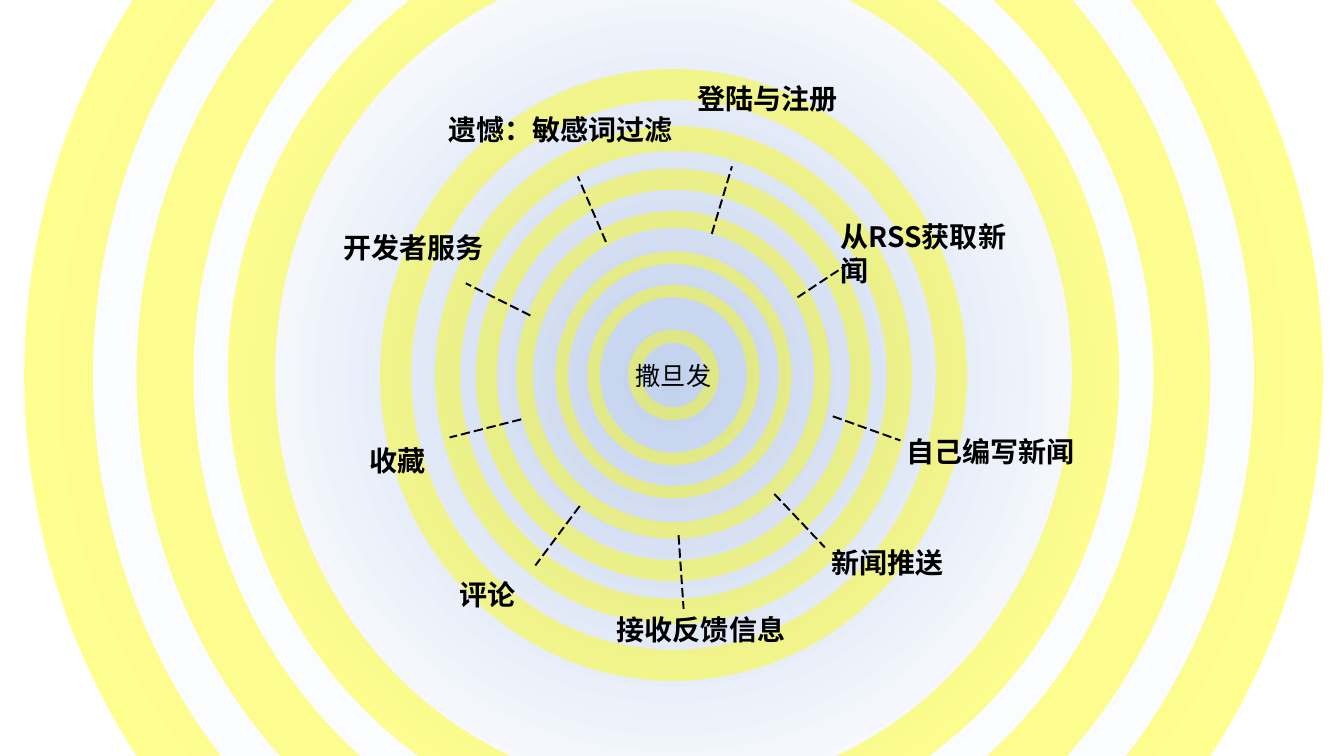
from lxml import etree
from pptx import Presentation
from pptx.dml.color import RGBColor
from pptx.enum.shapes import MSO_CONNECTOR as Connector, MSO_SHAPE as Shape
from pptx.enum.text import MSO_ANCHOR as Anchor, PP_ALIGN as Align
from pptx.oxml import parse_xml
from pptx.oxml.ns import nsdecls, qn
from pptx.util import Inches, Pt

WIDTH, HEIGHT = 13.33, 7.5
CENTER_X, CENTER_Y = 6.68, 3.72
LABEL_FONT = "Noto Sans CJK SC"
BACKDROP_STOPS = [(0, "C2D1ED"), (59, "FBFCFE"), (100, "FFFFFF")]

# Width, height and band thickness of each ring, from the middle outwards
RINGS = [
    (0.9, 0.9, 0.145), (1.71, 1.79, 0.073), (2.34, 2.45, 0.053),
    (3.12, 3.25, 0.053), (3.92, 4.09, 0.053), (4.73, 4.94, 0.053),
    (5.82, 6.07, 0.053), (8.84, 9.22, 0.053), (10.65, 11.11, 0.053),
    (12.88, 13.44, 0.053),
]
TITLE_RING = 5

# Label, its box (left, top, width), spoke start and spoke end
TOPICS = [
    ("登陆与注册", (6.82, 0.76, 1.81), (7.06, 2.32), (7.26, 1.65)),
    ("从RSS获取新闻", (8.24, 2.13, 2.04), (7.91, 2.95), (8.5, 2.56)),
    ("自己编写新闻", (8.89, 4.26, 2.08), (8.26, 4.13), (8.93, 4.37)),
    ("新闻推送", (8.15, 5.36, 1.81), (7.68, 4.9), (8.18, 5.43)),
    ("接收反馈信息", (6.02, 6.03, 1.94), (6.73, 5.31), (6.78, 6.04)),
    ("评论", (4.46, 5.68, 1.81), (5.75, 5.02), (5.31, 5.61)),
    ("收藏", (3.57, 4.35, 1.81), (5.17, 4.16), (4.46, 4.34)),
    ("开发者服务", (3.31, 2.24, 1.81), (5.26, 3.13), (4.62, 2.81)),
    ("遗憾：敏感词过滤", (4.35, 1.07, 2.48), (6.01, 2.4), (5.73, 1.75)),
]


def color(hex_string):
    return RGBColor.from_string(hex_string)


def write_text(shape, text, size=20, font=LABEL_FONT, bold=False,
               align=Align.LEFT, anchor=Anchor.TOP):
    frame = shape.text_frame
    frame.word_wrap = True
    frame.vertical_anchor = anchor
    paragraph = frame.paragraphs[0]
    paragraph.alignment = align
    run = paragraph.add_run()
    run.text = text
    run.font.size = Pt(size)
    run.font.bold = bold
    run.font.name = font
    run.font.color.rgb = color("000000")
    east_asian = etree.SubElement(run.font._element, qn("a:ea"))
    east_asian.set("typeface", font)


def add_plain_shape(slide, kind, left, top, width, height):
    shape = slide.shapes.add_shape(kind, Inches(left), Inches(top), Inches(width), Inches(height))
    shape.shadow.inherit = False
    shape.line.fill.background()
    return shape


def add_backdrop(slide, left, top, width, height):
    backdrop = add_plain_shape(slide, Shape.RECTANGLE, left, top, width, height)
    stops = "".join(
        f'<a:gs pos="{position * 1000}"><a:srgbClr val="{stop_color}"/></a:gs>'
        for position, stop_color in BACKDROP_STOPS)
    gradient = parse_xml(
        f'<a:gradFill {nsdecls("a")} rotWithShape="1"><a:gsLst>{stops}</a:gsLst>'
        '<a:path path="circle"><a:fillToRect l="50000" t="50000" r="50000" b="50000"/>'
        '</a:path></a:gradFill>')
    backdrop._element.spPr.find(qn("a:prstGeom")).addnext(gradient)


def add_rings(slide, center_x, center_y):
    for index, (width, height, band) in enumerate(RINGS):
        ring = add_plain_shape(slide, Shape.DONUT, center_x - width / 2,
                               center_y - height / 2, width, height)
        ring.adjustments[0] = band
        ring.fill.solid()
        ring.fill.fore_color.rgb = color("FFFF00")
        fill_color = ring._element.spPr.find(qn("a:solidFill"))[0]
        etree.SubElement(fill_color, qn("a:alpha")).set("val", "44000")
        if index == TITLE_RING:
            write_text(ring, "撒旦发", size=18, font="Calibri",
                       align=Align.CENTER, anchor=Anchor.MIDDLE)


def add_spoke(slide, start, end):
    spoke = slide.shapes.add_connector(
        Connector.STRAIGHT, *(Inches(value) for value in (*start, *end)))
    spoke.line.color.rgb = color("000000")
    spoke.line.width = Pt(1.4)
    # Dash and gap lengths in thousandths of a percent of the line width
    spoke.line._ln.append(parse_xml(
        f'<a:custDash {nsdecls("a")}><a:ds d="480000" sp="200000"/></a:custDash>'))
    etree.SubElement(spoke._element.spPr, qn("a:effectLst"))


def add_label(slide, text, left, top, width):
    label = slide.shapes.add_textbox(Inches(left), Inches(top), Inches(width), Inches(0.44))
    write_text(label, text, bold=True)


def main():
    presentation = Presentation()
    presentation.slide_width = Inches(WIDTH)
    presentation.slide_height = Inches(HEIGHT)
    slide = presentation.slides.add_slide(presentation.slide_layouts[6])

    add_backdrop(slide, 0, 0, WIDTH, HEIGHT)
    add_rings(slide, CENTER_X, CENTER_Y)
    for text, box, start, end in TOPICS:
        add_spoke(slide, start, end)
        add_label(slide, text, *box)

    presentation.save("out.pptx")


if __name__ == "__main__":
    main()
